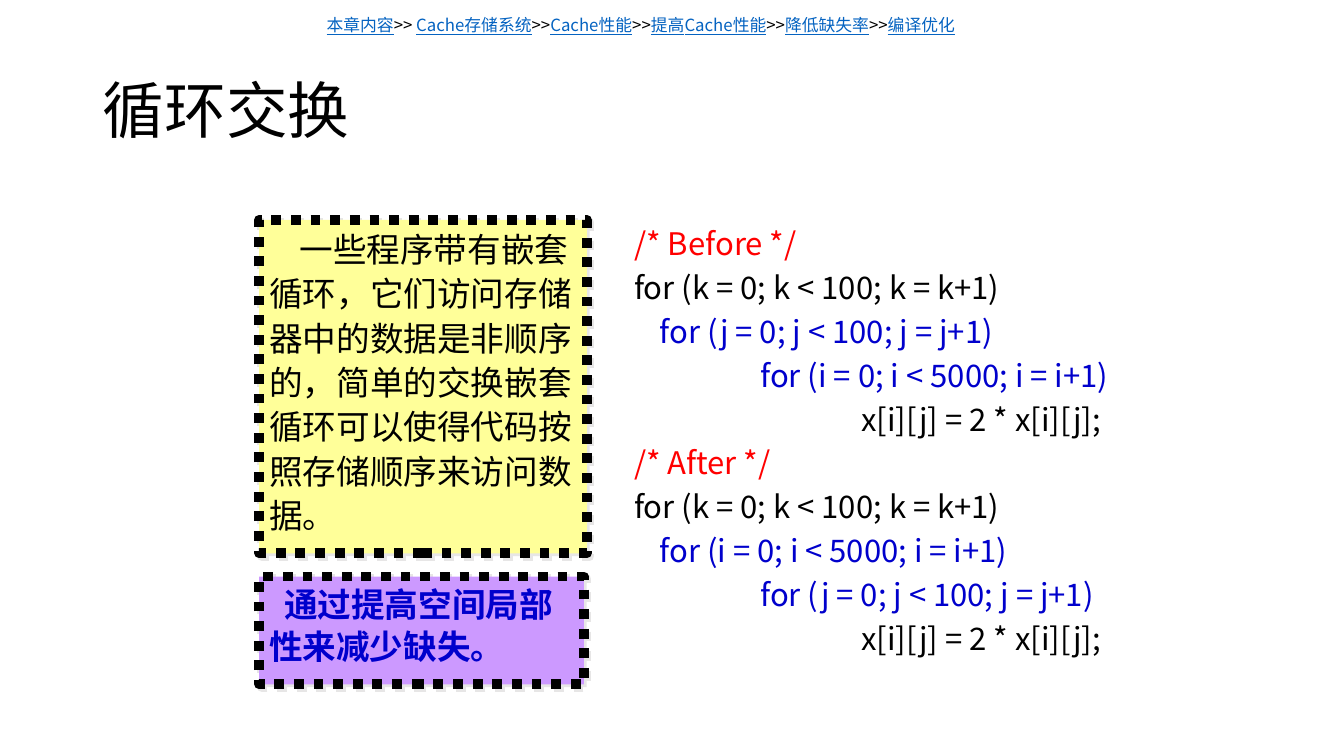
from dataclasses import dataclass, field
from typing import Any

import pptx
import pptx.dml.color
import pptx.enum.dml
import pptx.enum.shapes
import pptx.enum.text
import pptx.oxml
import pptx.oxml.ns
import pptx.util
from lxml import etree


@dataclass(frozen=True)
class Theme:
    font: str = "Noto Sans CJK SC"
    black: str = "000000"
    red: str = "FF0000"
    blue: str = "0000CC"
    link: str = "0563C1"
    yellow: str = "FFFF99"
    purple: str = "CC99FF"
    shadow: str = "E7E6E6"
    title_size: float = 44
    note_size: float = 24
    code_size: float = 22.2
    trail_size: float = 12
    border_width: float = 7


@dataclass(frozen=True)
class Area:
    left: float
    top: float
    width: float
    height: float


@dataclass(frozen=True)
class Run:
    text: str
    color: str
    size: float
    bold: bool = False
    underline: bool = False


@dataclass(frozen=True)
class Line:
    runs: list[Run]
    margin: float = 0
    first_indent: float = 0
    layout: dict[str, Any] = field(default_factory=dict)


THEME = Theme()
SLIDE_WIDTH = pptx.util.Inches(13.33)
SLIDE_HEIGHT = pptx.util.Inches(7.5)

TITLE_AREA = Area(6.9, 5.33, 86.27, 19.33)
TRAIL_AREA = Area(23.56, 1.33, 62.12, 4)
NOTE_AREA = Area(19.28, 29.07, 24.38, 44.13)
RESULT_AREA = Area(19.28, 76.27, 24.16, 14.27)
CODE_AREA = Area(46.44, 30, 38.18, 59.87)

CODE_MARGINS = [0, 0.25, 1.25, 2.25]
CODE_COLORS = [THEME.black, THEME.blue, THEME.blue, THEME.black]
LOOPS = {
    "k": "for (k = 0; k < 100; k = k+1)",
    "j": "for (j = 0; j < 100; j = j+1)",
    "i": "for (i = 0; i < 5000; i = i+1)",
}
STATEMENT = "x[i][j] = 2 * x[i][j];"
VERSIONS = {"/* Before */": "kji", "/* After */": "kij"}
TRAIL = ["本章内容", "Cache存储系统", "Cache性能", "提高Cache性能", "降低缺失率", "编译优化"]


def set_values(target: Any, values: dict[str, Any]) -> None:
    for name, value in values.items():
        setattr(target, name, value)


def rgb(color: str) -> pptx.dml.color.RGBColor:
    return pptx.dml.color.RGBColor.from_string(color)


def bounds(area: Area) -> dict[str, int]:
    return {
        "left": round(SLIDE_WIDTH * area.left / 100),
        "top": round(SLIDE_HEIGHT * area.top / 100),
        "width": round(SLIDE_WIDTH * area.width / 100),
        "height": round(SLIDE_HEIGHT * area.height / 100),
    }


def add_run(paragraph: Any, run: Run) -> None:
    text_run = paragraph.add_run()
    text_run.text = run.text
    set_values(text_run.font, {
        "name": THEME.font,
        "size": pptx.util.Pt(run.size),
        "bold": run.bold,
        "underline": run.underline,
    })
    text_run.font.color.rgb = rgb(run.color)
    east_asian = etree.SubElement(text_run.font._element, pptx.oxml.ns.qn("a:ea"))
    east_asian.set("typeface", THEME.font)


def write_lines(shape: Any, lines: list[Line], **frame_values: Any) -> None:
    frame = shape.text_frame
    set_values(frame, {
        "word_wrap": True,
        "auto_size": pptx.enum.text.MSO_AUTO_SIZE.NONE,
        "vertical_anchor": pptx.enum.text.MSO_ANCHOR.TOP,
        **frame_values,
    })
    for index, line in enumerate(lines):
        paragraph = frame.add_paragraph() if index else frame.paragraphs[0]
        set_values(paragraph, {"alignment": pptx.enum.text.PP_ALIGN.LEFT, **line.layout})
        properties = paragraph._p.get_or_add_pPr()
        properties.set("marL", str(pptx.util.Inches(line.margin)))
        properties.set("indent", str(pptx.util.Inches(line.first_indent)))
        etree.SubElement(properties, pptx.oxml.ns.qn("a:buNone"))
        for run in line.runs:
            add_run(paragraph, run)


def style_panel(shape: Any, fill_color: str) -> None:
    shape.fill.solid()
    shape.fill.fore_color.rgb = rgb(fill_color)
    set_values(shape.line, {
        "width": pptx.util.Pt(THEME.border_width),
        "dash_style": pptx.enum.dml.MSO_LINE.ROUND_DOT,
    })
    shape.line.color.rgb = rgb(THEME.black)
    shape._element.spPr.append(pptx.oxml.parse_xml(
        f'<a:effectLst {pptx.oxml.ns.nsdecls("a")}>'
        f'<a:outerShdw dist="{pptx.util.Pt(2.8)}" dir="2700000" algn="ctr" rotWithShape="0">'
        f'<a:srgbClr val="{THEME.shadow}"/></a:outerShdw></a:effectLst>'
    ))


def code_lines() -> list[Line]:
    layout = {"line_spacing": 0.8, "space_before": pptx.util.Pt(10)}
    lines = []
    for heading, order in VERSIONS.items():
        lines.append(Line([Run(heading, THEME.red, THEME.code_size)], layout=layout))
        statements = [LOOPS[name] for name in order] + [STATEMENT]
        for text, color, margin in zip(statements, CODE_COLORS, CODE_MARGINS):
            lines.append(Line([Run(text, color, THEME.code_size)], margin, layout=layout))
    return lines


def trail_line() -> Line:
    runs = []
    for index, label in enumerate(TRAIL):
        if index:
            separator = ">> " if index == 1 else ">>"
            runs.append(Run(separator, THEME.black, THEME.trail_size))
        runs.append(Run(label, THEME.link, THEME.trail_size, underline=True))
    return Line(runs)


def main() -> None:
    presentation = pptx.Presentation()
    set_values(presentation, {"slide_width": SLIDE_WIDTH, "slide_height": SLIDE_HEIGHT})
    slide = presentation.slides.add_slide(presentation.slide_layouts.get_by_name("Two Content"))
    title, note, code = slide.placeholders
    for shape, area in [(title, TITLE_AREA), (note, NOTE_AREA), (code, CODE_AREA)]:
        set_values(shape, bounds(area))

    title_run = Run("循环交换", THEME.black, THEME.title_size)
    write_lines(title, [Line([title_run], layout={"line_spacing": 0.9})],
                vertical_anchor=pptx.enum.text.MSO_ANCHOR.MIDDLE)

    style_panel(note, THEME.yellow)
    note_text = "一些程序带有嵌套循环，它们访问存储器中的数据是非顺序的，简单的交换嵌套循环可以使得代码按照存储顺序来访问数据。"
    write_lines(note, [Line([Run(note_text, THEME.black, THEME.note_size)], first_indent=0.3,
                            layout={"line_spacing": 1.1, "space_before": pptx.util.Pt(10)})])
    write_lines(code, code_lines())

    trail = slide.shapes.add_textbox(**bounds(TRAIL_AREA))
    write_lines(trail, [trail_line()],
                auto_size=pptx.enum.text.MSO_AUTO_SIZE.SHAPE_TO_FIT_TEXT)

    result = slide.shapes.add_shape(pptx.enum.shapes.MSO_SHAPE.RECTANGLE, **bounds(RESULT_AREA))
    style_panel(result, THEME.purple)
    result_run = Run("通过提高空间局部性来减少缺失。", THEME.blue, THEME.note_size, bold=True)
    write_lines(result, [Line([result_run], first_indent=0.15,
                              layout={"line_spacing": 1.05, "space_before": pptx.util.Pt(4.8)})])
    presentation.save("out.pptx")


if __name__ == "__main__":
    main()
